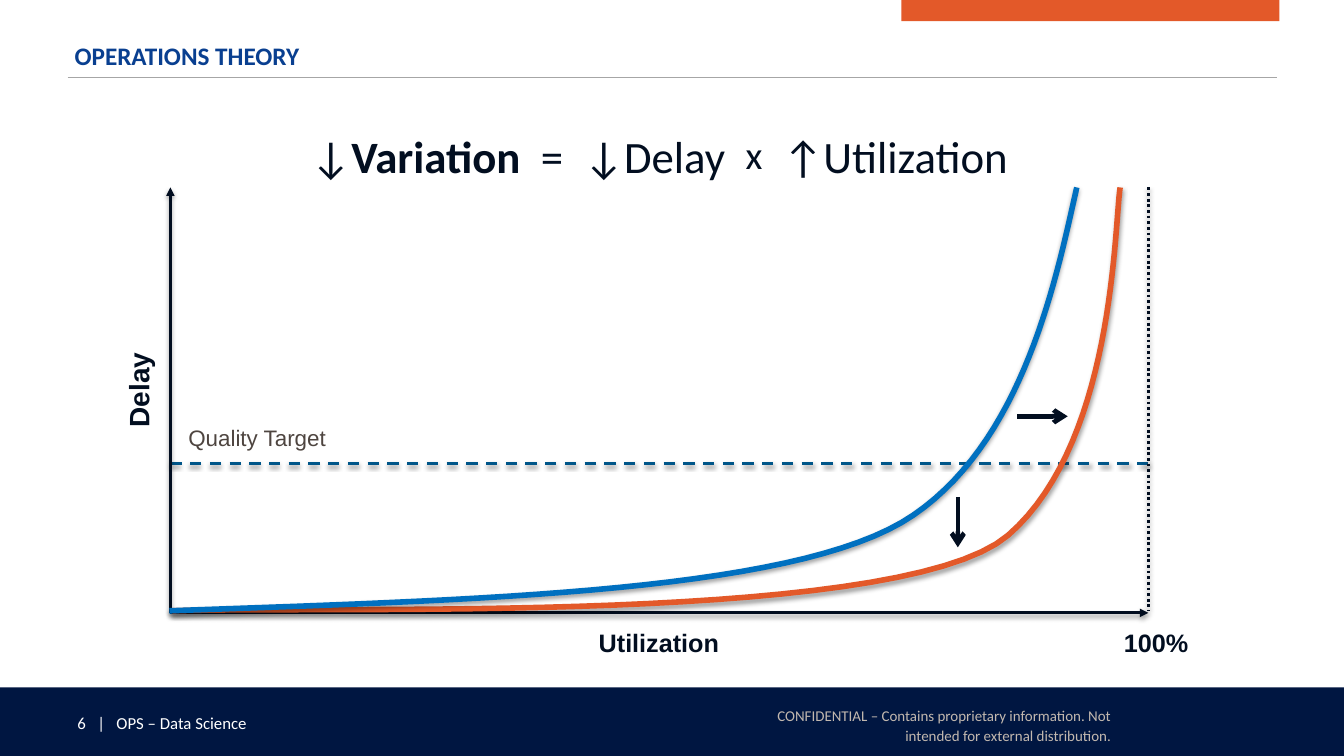
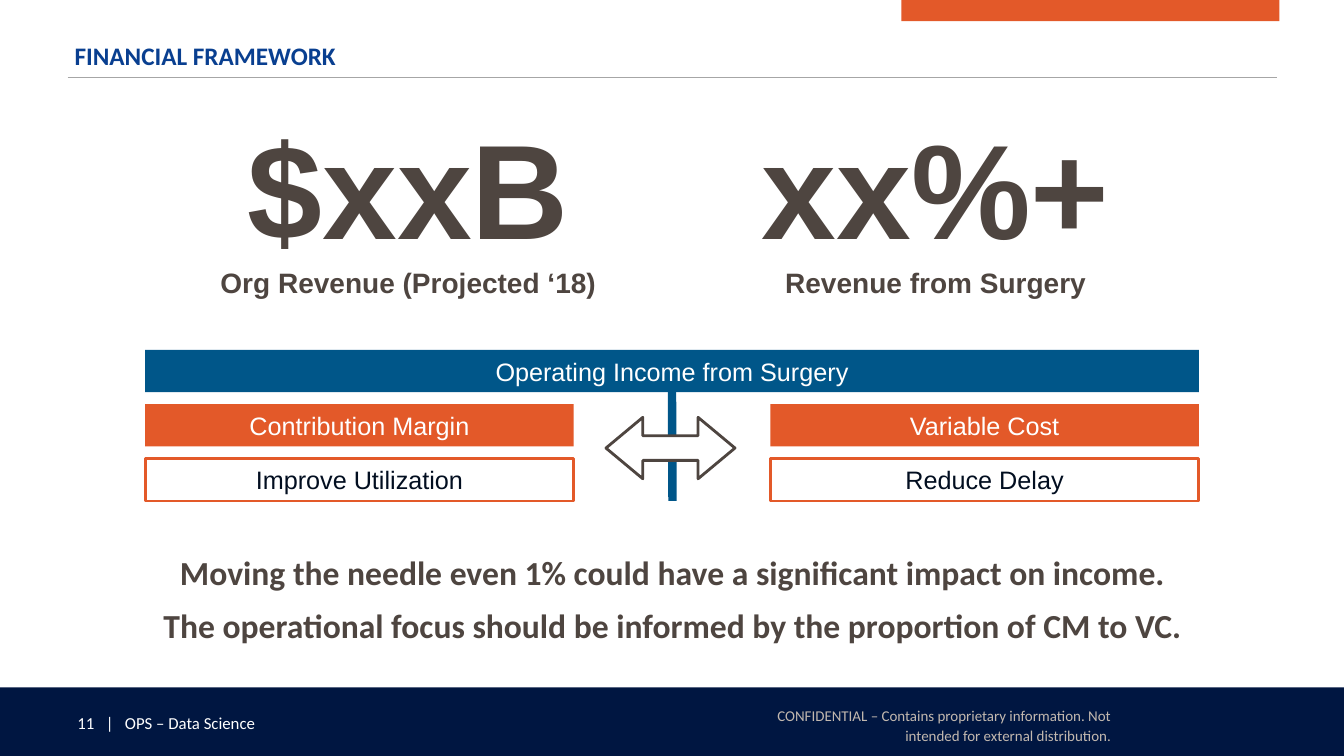
from lxml.etree import SubElement
from pptx import Presentation
from pptx.dml.color import RGBColor
from pptx.enum.dml import MSO_LINE
from pptx.enum.shapes import MSO_CONNECTOR, MSO_SHAPE
from pptx.enum.text import MSO_ANCHOR, PP_ALIGN
from pptx.oxml.ns import qn
from pptx.util import Inches, Pt

ORANGE = RGBColor(0xE3, 0x59, 0x29)
NAVY = RGBColor(0x00, 0x16, 0x41)
INK = RGBColor(0x02, 0x0E, 0x20)
TITLE_BLUE = RGBColor(0x09, 0x3F, 0x90)
TEAL = RGBColor(0x00, 0x56, 0x89)
CURVE_BLUE = RGBColor(0x00, 0x70, 0xC0)
BROWN = RGBColor(0x4E, 0x45, 0x40)
SAND = RGBColor(0xC2, 0xB8, 0xAF)
GRAY = RGBColor(0xA6, 0xA6, 0xA6)
WHITE = RGBColor(0xFF, 0xFF, 0xFF)
SANS, BODY = "Arial", "Calibri"


class Deck:
    def __init__(self):
        self.prs = Presentation()
        self.prs.slide_width = Inches(13.33)
        self.prs.slide_height = Inches(7.5)
        self.shapes = None

    def slide(self, title, number):
        s = self.prs.slides.add_slide(self.prs.slide_layouts[6])
        self.shapes = s.shapes
        self.box(8.94, 0, 3.75, 0.21, ORANGE)
        self.box(0, 6.82, 13.33, 0.69, NAVY)
        self.text(0.67, 7.02, 4.42, 0.3, [f"{number}   |   OPS – Data Science"],
                  12, WHITE, BODY, align=PP_ALIGN.LEFT)
        self.text(7.4, 6.74, 3.75, 0.9,
                  ["CONFIDENTIAL – Contains proprietary information. "
                   "Not intended for external distribution."],
                  10.7, SAND, BODY, align=PP_ALIGN.RIGHT, anchor=MSO_ANCHOR.MIDDLE,
                  insets=(0.13, 0.07), spacing=1.1)
        self.text(0.67, 0.36, 12, 0.89, [title], 18, TITLE_BLUE, BODY, bold=True,
                  align=PP_ALIGN.LEFT, insets=(0.07, 0.04))
        self.line((0.67, 0.77), (12.67, 0.77), GRAY, 0.75)

    def set_text(self, sp, paras, size, color, font=SANS, bold=False,
                 align=PP_ALIGN.CENTER, anchor=MSO_ANCHOR.TOP, insets=(0.1, 0.05),
                 spacing=None, after=None, wrap=True):
        tf = sp.text_frame
        tf.word_wrap = wrap
        tf.vertical_anchor = anchor
        tf.margin_left = tf.margin_right = Inches(insets[0])
        tf.margin_top = tf.margin_bottom = Inches(insets[1])
        for i, text in enumerate(paras):
            p = tf.add_paragraph() if i else tf.paragraphs[0]
            p.text = text
            p.alignment = align
            p.font.name, p.font.size, p.font.bold = font, Pt(size), bold
            p.font.color.rgb = color
            if spacing:
                p.line_spacing = spacing
            if after:
                p.space_after = Pt(after)
        return tf

    def text(self, x, y, w, h, paras, size, color, font=SANS, **style):
        sp = self.shapes.add_textbox(Inches(x), Inches(y), Inches(w), Inches(h))
        self.set_text(sp, paras, size, color, font, **style)
        return sp

    def box(self, x, y, w, h, fill, border=None, kind=MSO_SHAPE.RECTANGLE):
        sp = self.shapes.add_shape(kind, Inches(x), Inches(y), Inches(w), Inches(h))
        sp.fill.solid()
        sp.fill.fore_color.rgb = fill
        if border is None:
            sp.line.fill.background()
        else:
            sp.line.color.rgb = border
            sp.line.width = Pt(2)
        sp.shadow.inherit = False
        return sp

    def label_box(self, x, y, w, h, text, fill, color=WHITE, border=None):
        sp = self.box(x, y, w, h, fill, border)
        self.set_text(sp, [text], 18, color, anchor=MSO_ANCHOR.MIDDLE)
        return sp

    def stat(self, x, value, caption):
        sp = self.box(x, 0.86, 5.22, 2.29, WHITE)
        tf = self.set_text(sp, [value, caption], 96, BROWN, bold=True,
                           anchor=MSO_ANCHOR.MIDDLE)
        tf.paragraphs[1].font.size = Pt(20)

    def effects(self, sp, shadow):
        effects = SubElement(sp._element.spPr, qn("a:effectLst"))
        if shadow:
            outer = SubElement(effects, qn("a:outerShdw"), blurRad=str(Pt(3.1)),
                               dist=str(Pt(1.7)), dir="5400000", rotWithShape="0")
            black = SubElement(outer, qn("a:srgbClr"), val="000000")
            SubElement(black, qn("a:alpha"), val="38000")

    def line(self, start, end, color, width, dash=None, arrow=None, shadow=False):
        ends = [Inches(v) for v in (*start, *end)]
        cn = self.shapes.add_connector(MSO_CONNECTOR.STRAIGHT, *ends)
        cn.line.color.rgb = color
        cn.line.width = Pt(width)
        if dash:
            cn.line.dash_style = dash
        if arrow:
            SubElement(cn.line._get_or_add_ln(), qn("a:tailEnd"), type=arrow)
        self.effects(cn, shadow)
        return cn

    def curve(self, start, beziers, color, steps=30):
        points = []
        p0 = start
        for p1, p2, p3 in beziers:
            for i in range(1, steps + 1):
                t = i / steps
                u = 1 - t
                points.append(tuple(
                    Inches(u**3 * a + 3 * u * u * t * b + 3 * u * t * t * c + t**3 * d)
                    for a, b, c, d in zip(p0, p1, p2, p3)))
            p0 = p3
        builder = self.shapes.build_freeform(Inches(start[0]), Inches(start[1]))
        builder.add_line_segments(points, close=False)
        sp = builder.convert_to_shape()
        sp.fill.background()
        sp.line.color.rgb = color
        sp.line.width = Pt(4)
        self.effects(sp, True)


def operations_theory(deck):
    deck.slide("OPERATIONS THEORY", 6)
    formula = deck.box(2.83, 1.01, 7.42, 0.78, WHITE)
    p = deck.set_text(formula, [""], 32, INK, BODY).paragraphs[0]
    for text in ("↓", "Variation", "  =  ↓Delay  ", "x", "  ↑Utilization"):
        r = p.add_run()
        r.text = text
        if text == "Variation":
            r.font.bold = True
        elif text == "x":
            r.font.size = Pt(48)
            r._r.get_or_add_rPr().set("baseline", "6000")

    left, right, top, bottom = 1.69, 11.39, 1.86, 6.08
    deck.text(0.39, 3.65, 1.97, 0.44, ["Delay"], 20, INK, bold=True).rotation = 270
    for x, w, label in ((11.04, 0.85, "100%"), (5.83, 1.41, "Utilization")):
        deck.text(x, 6.17, w, 0.4, [label], 18, INK, bold=True, wrap=False)
    deck.text(1.77, 4.16, 2.21, 0.33, ["Quality Target"], 16, BROWN,
              align=PP_ALIGN.LEFT)

    deck.line((left, 4.6), (right, 4.6), TEAL, 2, dash=MSO_LINE.DASH, shadow=True)
    for end in ((left, top), (right, bottom)):
        deck.line((left, bottom), end, INK, 2, arrow="triangle", shadow=True)
    deck.curve((1.71, 6.06), [((3.36, 6.01), (8.96, 6.21), (10, 5.31)),
                              ((11.05, 4.4), (11.05, 2.28), (11.11, top))], ORANGE)
    deck.line((right, top), (right, 6.06), INK, 2, dash=MSO_LINE.ROUND_DOT, shadow=True)
    deck.curve((1.68, 6.06), [((4.83, 5.95), (7.96, 5.87), (9.06, 5.11)),
                              ((10.16, 4.36), (10.48, 2.75), (10.68, top))], CURVE_BLUE)
    for start, end in (((10.09, 4.13), (10.59, 4.13)), ((9.5, 4.93), (9.5, 5.43))):
        deck.line(start, end, INK, 3.25, arrow="arrow")


def financial_framework(deck):
    deck.slide("FINANCIAL FRAMEWORK", 11)
    deck.stat(1.44, "$xxB", "Org Revenue (Projected ‘18)")
    deck.stat(6.67, "xx%+", "Revenue from Surgery")

    left, top, height, pitch = 1.44, 3.47, 0.42, 0.54
    income = deck.label_box(left, top, 10.45, height,
                            "Operating Income from Surgery", TEAL)
    stem = deck.line((6.67, 3.89), (6.67, 4.97), TEAL, 6)
    stem.begin_connect(income, 2)
    for x, driver, action in ((left, "Contribution Margin", "Improve Utilization"),
                              (7.64, "Variable Cost", "Reduce Delay")):
        deck.label_box(x, top + pitch, 4.25, height, driver, ORANGE)
        deck.label_box(x, top + 2 * pitch, 4.25, height, action, WHITE, INK, ORANGE)
    balance = deck.box(6.01, 4.14, 1.28, 0.61, WHITE, BROWN, MSO_SHAPE.LEFT_RIGHT_ARROW)
    balance.adjustments[0] = 0.4
    balance.adjustments[1] = 0.6

    deck.text(0.67, 5.39, 12, 1.16,
              ["Moving the needle even 1% could have a significant impact on income.",
               "The operational focus should be informed by the proportion of CM to VC."],
              24, BROWN, BODY, bold=True, spacing=1.1, after=6)


def main():
    deck = Deck()
    operations_theory(deck)
    financial_framework(deck)
    deck.prs.save("out.pptx")


if __name__ == "__main__":
    main()
